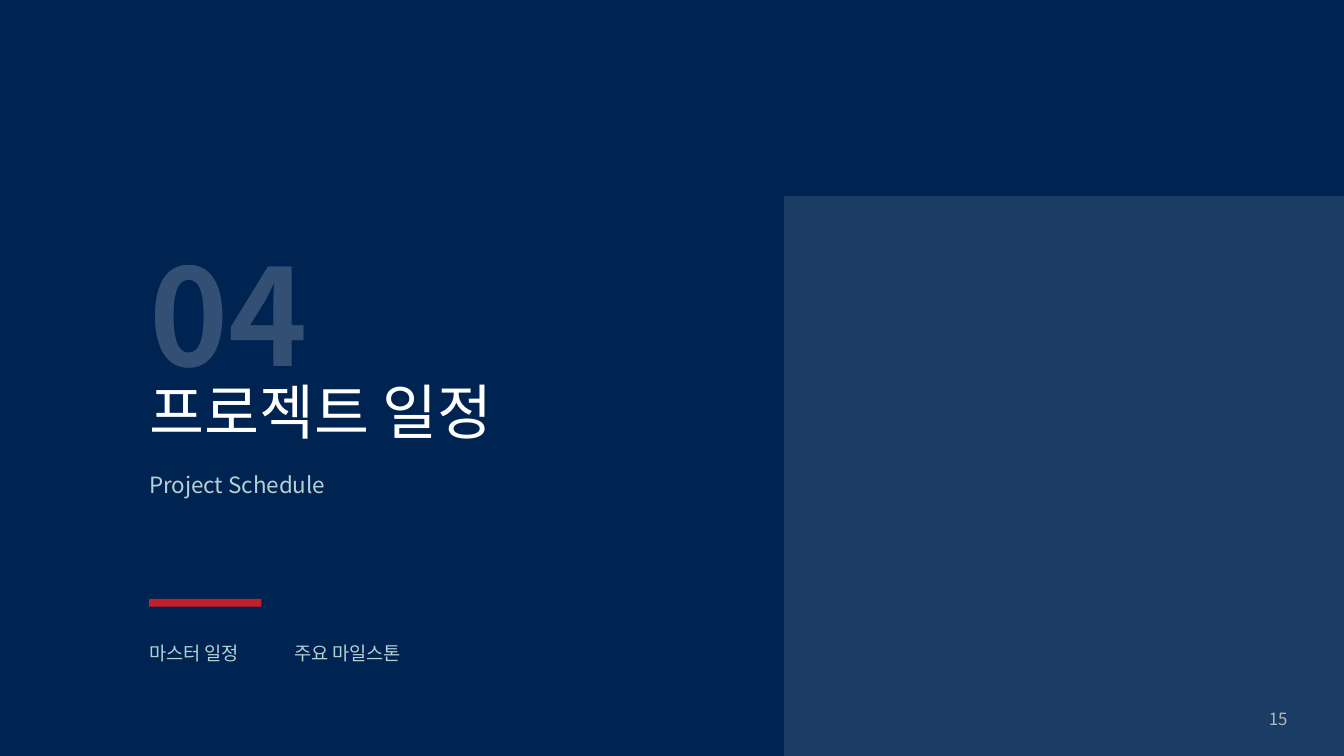
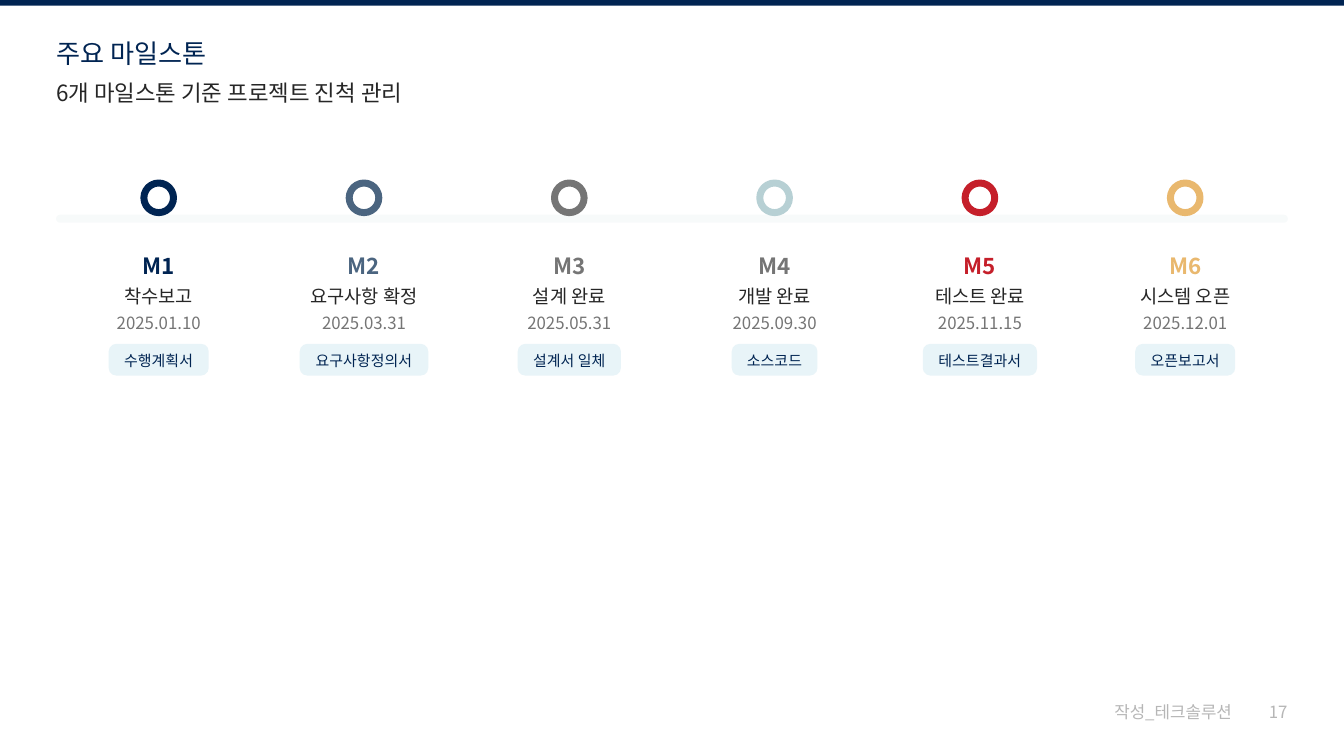
"""Build the schedule section divider and the milestone timeline."""
from lxml.etree import SubElement
from pptx import Presentation
from pptx.dml.color import RGBColor
from pptx.enum.shapes import MSO_SHAPE
from pptx.enum.text import PP_ALIGN
from pptx.oxml.ns import qn
from pptx.util import Cm, Pt

RECT = MSO_SHAPE.RECTANGLE
ROUND = MSO_SHAPE.ROUNDED_RECTANGLE
LEFT = PP_ALIGN.LEFT
CENTER = PP_ALIGN.CENTER
FONT = "Noto Sans CJK KR"
NAVY, SLATE, MIST, RED, GOLD = "002452", "4B6580", "B7D0D4", "C51F2A", "E9B86E"
WHITE, INK, GRAY, PALE, BADGE = "FFFFFF", "262626", "757575", "B6B6B6", "E8F4F8"
WIDTH, HEIGHT = 25.4, 14.29
MARGIN = 1.06
INDENT = 2.82
rgb = RGBColor.from_string


def add_block(page, kind, left, top, width, height, color, opacity=100, corner=None):
    """Add a borderless filled shape, sized in centimetres."""
    block = page.shapes.add_shape(kind, Cm(left), Cm(top), Cm(width), Cm(height))
    block.shadow.inherit = False
    block.fill.solid()
    block.fill.fore_color.rgb = rgb(color)
    block.line.fill.background()
    if corner is not None:
        block.adjustments[0] = corner
    if opacity < 100:
        tint = block._element.spPr.find(".//" + qn("a:srgbClr"))
        SubElement(tint, qn("a:alpha"), val=str(opacity * 1000))
    return block


def add_text(page, text, left, top, width, height, size, color, bold=False, align=LEFT, before=0, after=0):
    """Add a one-paragraph text box without insets and return its paragraph."""
    box = page.shapes.add_textbox(Cm(left), Cm(top), Cm(width), Cm(height))
    frame = box.text_frame
    frame.word_wrap = True
    frame.margin_left = frame.margin_top = frame.margin_right = frame.margin_bottom = 0
    frame.text = text
    para = frame.paragraphs[0]
    para.alignment = align
    para.space_before = Pt(before)
    para.space_after = Pt(after)
    font = para.runs[0].font
    font.size = Pt(size)
    font.bold = bold
    font.color.rgb = rgb(color)
    font.name = FONT
    SubElement(para.runs[0]._r.rPr, qn("a:ea"), typeface=FONT)
    return para


deck = Presentation()
deck.slide_width = Cm(WIDTH)
deck.slide_height = Cm(HEIGHT)

pages = []
for background, number, number_top in [(NAVY, "15", 13.39), (WHITE, "17", 13.26)]:
    page = deck.slides.add_slide(deck.slide_layouts[6])
    page.background.fill.solid()
    page.background.fill.fore_color.rgb = rgb(background)
    add_text(page, number, 23.98, number_top, 0.37, 0.47, 9, PALE)
    pages.append(page)
divider, timeline = pages

panel = 10.58
add_block(divider, RECT, WIDTH - panel, HEIGHT - panel, panel, panel, MIST, opacity=15)
section = add_text(divider, "04", INDENT, 4.9, 6.8, 2.54, 72, WHITE, bold=True)
section.line_spacing = Pt(72)
tint = section.runs[0]._r.find(".//" + qn("a:srgbClr"))
SubElement(tint, qn("a:alpha"), val="20000")
add_text(divider, "프로젝트 일정", INDENT, 7.09, 6.8, 1.3, 32, WHITE)
add_text(divider, "Project Schedule", INDENT, 8.91, 6.8, 0.48, 12, MIST, before=15)
add_block(divider, RECT, INDENT, 11.32, 2.12, 0.15, RED)
for topic, left, width in [("마스터 일정", INDENT, 1.75), ("주요 마일스톤", 5.56, 2.05)]:
    add_text(divider, topic, left, 12.13, width, 0.41, 10, MIST)

add_block(timeline, RECT, 0, 0, WIDTH, 0.11, NAVY)
add_text(timeline, "주요 마일스톤", MARGIN, 0.71, 6.9, 0.58, 14, NAVY)
add_text(timeline, "6개 마일스톤 기준 프로젝트 진척 관리", MARGIN, 1.5, 6.9, 0.48, 12, INK, before=6)
add_text(timeline, "작성_테크솔루션", 21.06, 13.26, 2.8, 0.47, 9, PALE)

rail = WIDTH - 2 * MARGIN
add_block(timeline, ROUND, MARGIN, 4.06, rail, 0.15, MIST, opacity=10, corner=0.5)
milestones = [
    ("착수보고", "2025.01.10", "수행계획서", NAVY, NAVY),
    ("요구사항 확정", "2025.03.31", "요구사항정의서", SLATE, SLATE),
    ("설계 완료", "2025.05.31", "설계서 일체", GRAY, GRAY),
    ("개발 완료", "2025.09.30", "소스코드", MIST, GRAY),
    ("테스트 완료", "2025.11.15", "테스트결과서", RED, RED),
    ("시스템 오픈", "2025.12.01", "오픈보고서", GOLD, GOLD),
]
pitch = rail / len(milestones)
ring_size = 0.56
label_width = 3.96
badge_padding = 0.27
for index, (event, date, output, ring_color, code_color) in enumerate(milestones):
    center = MARGIN + pitch * (index + 0.5)
    ring = add_block(timeline, ROUND, center - ring_size / 2, 3.46, ring_size, ring_size, WHITE, corner=0.5)
    ring.line.color.rgb = rgb(ring_color)
    ring.line.width = Pt(3.75)

    labels = [
        (f"M{index + 1}", 4.77, 0.48, 12, code_color, True, 4),
        (event, 5.38, 0.41, 10, INK, False, 4),
        (date, 5.92, 0.38, 9, GRAY, False, 6),
    ]
    for text, top, height, size, color, bold, after in labels:
        add_text(timeline, text, center - label_width / 2, top, label_width, height, size, color, bold, CENTER, after=after)

    spaces = output.count(" ")
    text_width = 0.27 * (len(output) - spaces) + 0.06 * spaces
    badge_width = text_width + 2 * badge_padding
    add_block(timeline, ROUND, center - badge_width / 2, 6.5, badge_width, 0.6, BADGE, corner=0.24)
    add_text(timeline, output, center - text_width / 2, 6.64, text_width, 0.32, 8, NAVY, align=CENTER)

deck.save("out.pptx")
